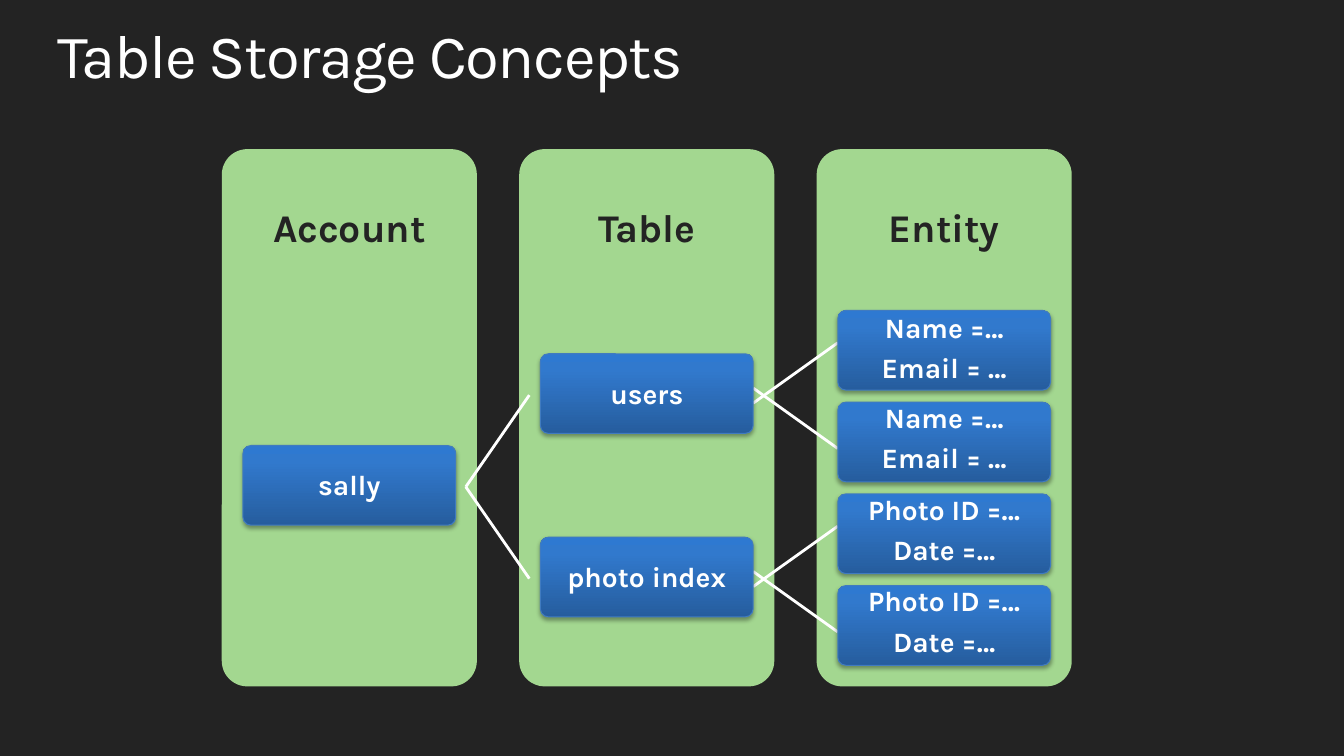
"""Build the Table Storage Concepts slide."""
from lxml.etree import SubElement
from pptx import Presentation
from pptx.dml.color import RGBColor as RGB
from pptx.enum.shapes import MSO_CONNECTOR as Connector, MSO_SHAPE as Shape
from pptx.enum.text import MSO_ANCHOR as Anchor, PP_ALIGN as Align
from pptx.oxml import parse_xml
from pptx.oxml.ns import nsdecls, qn
from pptx.util import Inches, Pt

COLORS = {"background": "232323", "panel": "A3D790", "white": "FFFFFF",
          "edge": "407BC0", "shadow": "000000"}
GRADIENT = ((0, "265D9E"), (80, "3179CD"), (100, "2E79D1"))
PANEL_TOP, PANEL_W, PANEL_H, HEADING_H = 1.48, 2.53, 5.33, 1.6
CARD_W, CARD_H = 2.11, 0.79


class Diagram:
    def __init__(self, slide, font="Karla"):
        self.slide = slide
        self.font = font
        slide.background.fill.solid()
        slide.background.fill.fore_color.rgb = self.color("background")

    def color(self, name):
        return RGB.from_string(COLORS[name])

    def text(self, box, lines, size, color, bold=True, inset=0.0,
             align=Align.CENTER, anchor=Anchor.MIDDLE, after=0.35):
        label = self.slide.shapes.add_textbox(*map(Inches, box))
        frame = label.text_frame
        frame.word_wrap = True
        frame.vertical_anchor = anchor
        frame.margin_left = frame.margin_right = Inches(inset)
        frame.margin_top = frame.margin_bottom = Inches(inset)
        frame.text = "\n".join(lines)
        for paragraph in frame.paragraphs:
            paragraph.alignment = align
            paragraph.line_spacing = 0.9
            paragraph.space_after = Pt(size * after)
            font = paragraph.runs[0].font
            font.name, font.size, font.bold = self.font, Pt(size), bold
            font.color.rgb = self.color(color)
        return frame

    def title(self, words):
        frame = self.text((0.57, 0.25, 12.19, 1.33), [words], 44, "white",
                          bold=False, align=Align.LEFT, anchor=Anchor.TOP, after=0)
        frame.paragraphs[0].runs[0].font._element.set("spc", "-100")

    def rounded(self, box):
        shape = self.slide.shapes.add_shape(Shape.ROUNDED_RECTANGLE, *map(Inches, box))
        shape.adjustments[0] = 0.1
        shape.shadow.inherit = False
        return shape

    def panel(self, left, heading):
        shape = self.rounded((left, PANEL_TOP, PANEL_W, PANEL_H))
        shape.fill.solid()
        shape.fill.fore_color.rgb = self.color("panel")
        shape.line.fill.background()
        self.text((left, PANEL_TOP, PANEL_W, HEADING_H), [heading], 28,
                  "background", inset=0.16)

    def card(self, left, top, lines, text_drop):
        shape = self.rounded((left, top, CARD_W, CARD_H))
        shape.fill.gradient()
        shape.fill.gradient_angle = 90
        stops = next(shape._element.iter(qn("a:gsLst")))
        for stop in list(stops):
            stops.remove(stop)
        for position, value in GRADIENT:
            stop = SubElement(stops, qn("a:gs"), pos=str(position * 1000))
            SubElement(stop, qn("a:srgbClr"), val=value)
        shape.line.color.rgb = self.color("edge")
        shape.line.width = Pt(0.75)
        effects = next(shape._element.iter(qn("a:effectLst")))
        effects.append(parse_xml(
            f'<a:outerShdw {nsdecls("a")} blurRad="{Pt(3.1)}" dist="{Pt(1.8)}" '
            f'dir="5400000" rotWithShape="0"><a:srgbClr val="{COLORS["shadow"]}">'
            '<a:alpha val="35000"/></a:srgbClr></a:outerShdw>'))
        self.text((left + 0.03, top + text_drop, 2.05, 0.74), lines, 20,
                  "white", inset=0.01)

    def link(self, *ends):
        line = self.slide.shapes.add_connector(Connector.STRAIGHT, *map(Inches, ends))
        line.line.color.rgb = self.color("white")
        line.line.width = Pt(2)
        SubElement(line._element.spPr, qn("a:effectLst"))


deck = Presentation()
deck.slide_width, deck.slide_height = Inches(13.33), Inches(7.5)
diagram = Diagram(deck.slides.add_slide(deck.slide_layouts[6]))
diagram.title("Table Storage Concepts")

panel_lefts = [2.2 + 2.95 * column for column in range(3)]
for panel_left, heading in zip(panel_lefts, ("Account", "Table", "Entity")):
    diagram.panel(panel_left, heading)
account_left, table_left, entity_left = [left + 0.21 for left in panel_lefts]

user = ["Name =…", "Email = …"]
photo = ["Photo ID =…", "Date =…"]
tables = (("users", 3.51, user), ("photo index", 5.33, photo))

diagram.card(account_left, 4.42, ["sally"], 0.04)
for table, top, entity in tables:
    diagram.link(4.62, 4.83, 5.25, top + 0.41)
    diagram.link(7.47, top + 0.49, 8.31, top - 0.11)
    diagram.link(7.47, top + 0.34, 8.31, top + 0.94)
    diagram.card(table_left, top, [table], 0.04)
    for offset in (-0.43, 0.48):
        first = table == "users" and offset < 0
        diagram.card(entity_left, top + offset, entity, 0.02 if first else 0)

deck.save("out.pptx")
